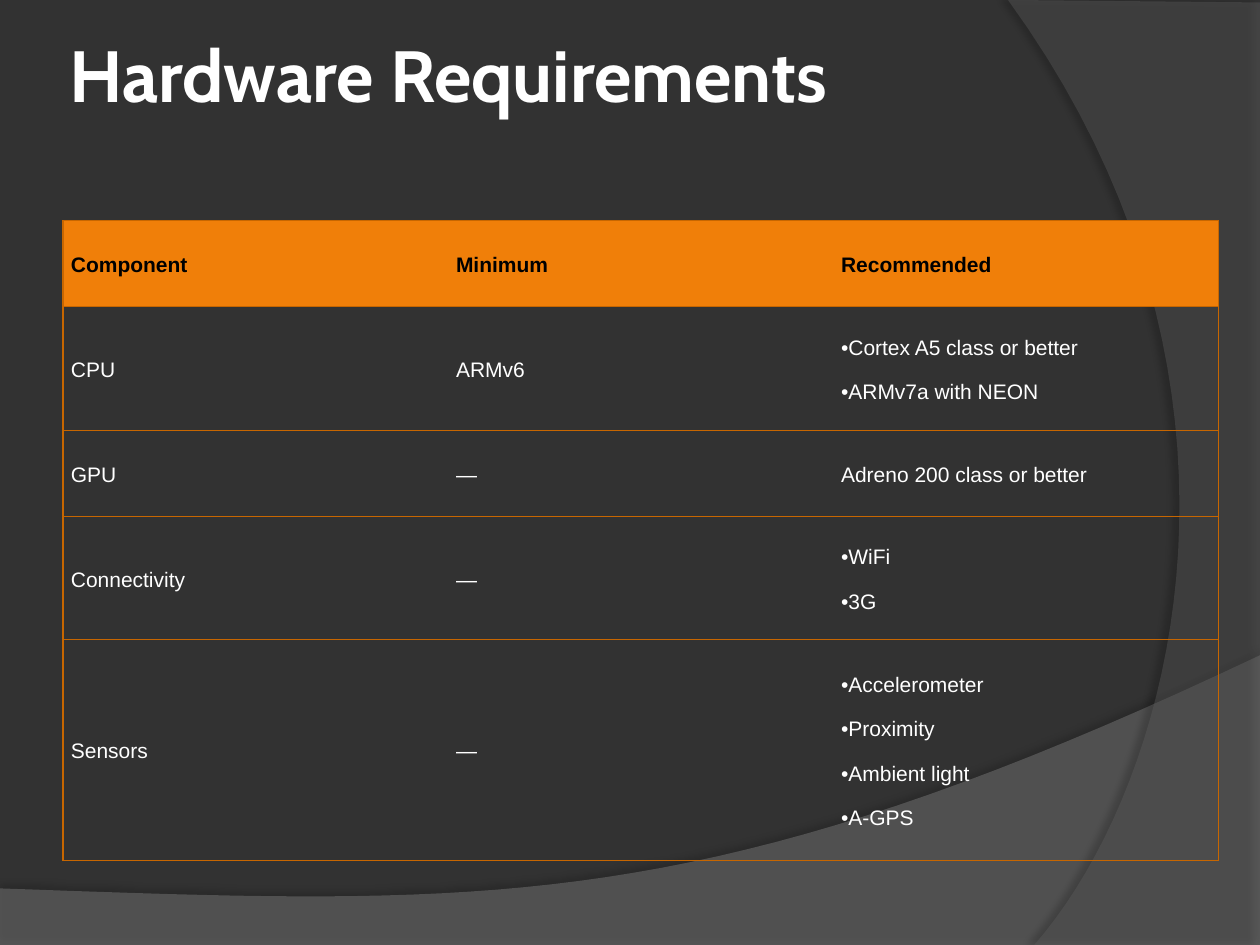
import dataclasses

import lxml.etree
import pptx
import pptx.dml.color
import pptx.enum.text
import pptx.oxml.ns
import pptx.util

Cm = pptx.util.Cm
Pt = pptx.util.Pt
qn = pptx.oxml.ns.qn
Point = tuple[float, float]

ORANGE = "F07F09"
BORDER = "C76600"
WHITE = "FFFFFF"
BLACK = "000000"
TABLE_WIDTH = 23.29
CURVE_STEPS = 40


@dataclasses.dataclass(frozen=True)
class Swoosh:
    corners: list[Point]
    controls: tuple[Point, Point]
    end: Point
    color: str
    opacity: int
    shadow_opacity: int
    shadow_distance: float
    shadow_angle: int


@dataclasses.dataclass(frozen=True)
class Row:
    component: str
    minimum: str
    recommended: list[str]
    height: float
    header: bool = False


SWOOSHES = [
    Swoosh([(0, 17.91), (0, 19.05), (25.4, 19.05), (25.4, 13.21)],
           ((14.2, 18.52), (9.93, 18.26)), (0, 17.91), "7F7F7F", 45, 35, 3.5, 270),
    Swoosh([(25.4, 0.05), (25.4, 19.05), (20.85, 19.05)],
           ((23.75, 15.72), (25.86, 7.62)), (20.32, 0), "5E5E5E", 40, 45, 4, 180),
]

ROWS = [
    Row("Component", "Minimum", ["Recommended"], 1.73, header=True),
    Row("CPU", "ARMv6", ["Cortex A5 class or better", "ARMv7a with NEON"], 2.5),
    Row("GPU", "—", ["Adreno 200 class or better"], 1.73),
    Row("Connectivity", "—", ["WiFi", "3G"], 2.48),
    Row("Sensors", "—", ["Accelerometer", "Proximity", "Ambient light", "A-GPS"], 4.45),
]


def rgb(color: str) -> pptx.dml.color.RGBColor:
    return pptx.dml.color.RGBColor.from_string(color)


def add_element(parent, tag: str, **attributes):
    return lxml.etree.SubElement(parent, qn(tag), {k: str(v) for k, v in attributes.items()})


def set_opacity(color_element, percent: int) -> None:
    add_element(color_element, "a:alpha", val=percent * 1000)


def curve_points(start: Point, controls: tuple[Point, Point], end: Point) -> list[Point]:
    points = []
    for step in range(1, CURVE_STEPS + 1):
        t = step / CURVE_STEPS
        weights = ((1 - t) ** 3, 3 * t * (1 - t) ** 2, 3 * t * t * (1 - t), t ** 3)
        anchors = (start, *controls, end)
        points.append(tuple(sum(w * a[axis] for w, a in zip(weights, anchors)) for axis in (0, 1)))
    return points


def draw_swoosh(page, swoosh: Swoosh) -> None:
    outline = swoosh.corners + curve_points(swoosh.corners[-1], swoosh.controls, swoosh.end)
    points = [(Cm(x), Cm(y)) for x, y in outline]
    builder = page.shapes.build_freeform(*points[0])
    builder.add_line_segments(points[1:], close=True)
    shape = builder.convert_to_shape()
    shape.fill.solid()
    shape.fill.fore_color.rgb = rgb(swoosh.color)
    shape.line.fill.background()
    shape.shadow.inherit = False
    properties = shape._element.spPr
    set_opacity(properties.find(qn("a:solidFill")).find(qn("a:srgbClr")), swoosh.opacity)
    shadow = add_element(properties.find(qn("a:effectLst")), "a:outerShdw", blurRad=Pt(4),
                         dist=Pt(swoosh.shadow_distance), dir=swoosh.shadow_angle * 60000,
                         algn="ctr", rotWithShape=0)
    set_opacity(add_element(shadow, "a:srgbClr", val=BLACK), swoosh.shadow_opacity)


def draw_title(page, text: str) -> None:
    box = page.shapes.add_textbox(Cm(1.27), Cm(0.76), Cm(20.75), Cm(3.18))
    frame = box.text_frame
    frame.word_wrap = True
    frame.vertical_anchor = pptx.enum.text.MSO_ANCHOR.TOP
    frame.margin_left = frame.margin_right = Cm(0.13)
    frame.margin_top = frame.margin_bottom = 0
    para = frame.paragraphs[0]
    para.text = text
    para.line_spacing = 0.93
    para.font.name = "Cabin"
    para.font.size = Pt(41.4)
    para.font.bold = True
    para.font.color.rgb = rgb(WHITE)


def add_border(cell, side: str) -> None:
    line = add_element(cell._tc.get_or_add_tcPr(), f"a:ln{side}", w=Pt(0.75))
    add_element(add_element(line, "a:solidFill"), "a:srgbClr", val=BORDER)


def add_bullet(para) -> None:
    properties = para._p.get_or_add_pPr()
    properties.set("marL", "0")
    properties.set("indent", "0")
    run_defaults = properties.find(qn("a:defRPr"))
    for tag, attributes in (("a:buFont", {"typeface": "Arial"}), ("a:buChar", {"char": "•"})):
        run_defaults.addprevious(lxml.etree.Element(qn(tag), attributes))


def fill_cell(cell, lines: list[str], header: bool) -> None:
    cell.vertical_anchor = pptx.enum.text.MSO_ANCHOR.MIDDLE
    cell.margin_left = cell.margin_right = cell.margin_top = cell.margin_bottom = Cm(0.16)
    if header:
        cell.fill.solid()
        cell.fill.fore_color.rgb = rgb(ORANGE)
    else:
        cell.fill.background()
    cell.text = "\n".join(lines)
    for para in cell.text_frame.paragraphs:
        para.line_spacing = 1.15
        para.space_after = Pt(10)
        para.font.name = "Arial"
        para.font.size = Pt(12)
        para.font.bold = header
        para.font.color.rgb = rgb(BLACK if header else WHITE)
        if len(lines) > 1:
            add_bullet(para)


def draw_requirements(page, rows: list[Row]) -> None:
    frame = page.shapes.add_table(len(rows), 3, Cm(1.27), Cm(4.45), Cm(TABLE_WIDTH),
                                  Cm(sum(row.height for row in rows)))
    table = frame.table
    table.first_row = table.horz_banding = False
    style = table._tbl.tblPr.find(qn("a:tableStyleId"))
    style.text = "{2D5ABB26-0587-4C30-8999-92F81FD0307C}"
    for column in table.columns:
        column.width = Cm(TABLE_WIDTH / 3)
    for row_index, row in enumerate(rows):
        table.rows[row_index].height = Cm(row.height)
        contents = ([row.component], [row.minimum], row.recommended)
        for column_index, (lines, sides) in enumerate(zip(contents, ("LTB", "TB", "RTB"))):
            cell = table.cell(row_index, column_index)
            for side in sides:
                add_border(cell, side)
            fill_cell(cell, lines, row.header)


def main() -> None:
    deck = pptx.Presentation()
    deck.slide_width = Cm(25.4)
    deck.slide_height = Cm(19.05)
    page = deck.slides.add_slide(deck.slide_layouts[6])
    page.background.fill.solid()
    page.background.fill.fore_color.rgb = rgb("323232")
    for swoosh in SWOOSHES:
        draw_swoosh(page, swoosh)
    draw_title(page, "Hardware Requirements")
    draw_requirements(page, ROWS)
    deck.save("out.pptx")


if __name__ == "__main__":
    main()
